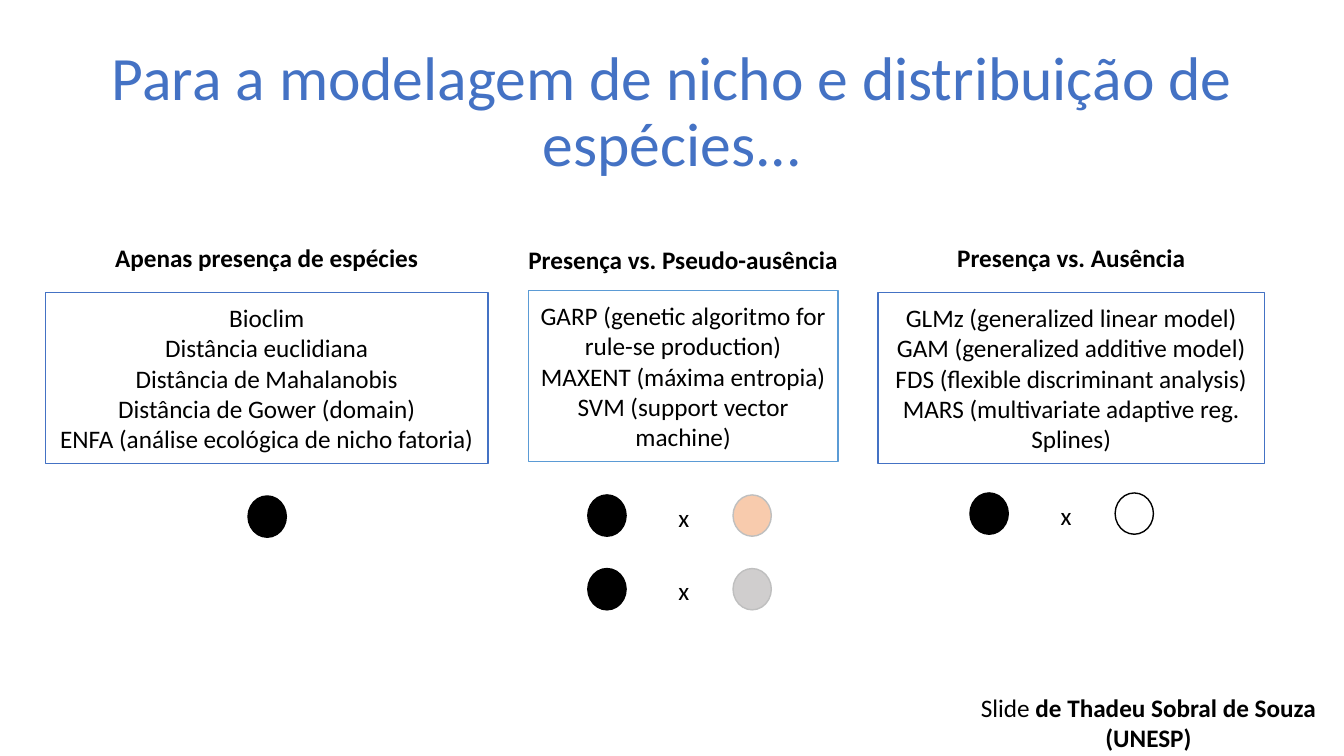
from pptx import Presentation
from pptx.dml.color import RGBColor
from pptx.enum import shapes as es, text as et
from pptx.util import Inches, Pt

MID = et.PP_ALIGN.CENTER
LEFT = et.PP_ALIGN.LEFT
BLACK, WHITE, BLUE = "000000", "FFFFFF", "4472C4"
SKY, PEACH, GREY, EDGE = "5B9BD5", "F8CBAD", "D0CECE", "BFBFBF"


def paint(fmt, tone):
    """Set the colour of a font, fill or line from a hex string."""
    if hasattr(fmt, "solid"):
        fmt.solid()
        fmt.fore_color.rgb = RGBColor.from_string(tone)
    else:
        fmt.color.rgb = RGBColor.from_string(tone)


def add_run(par, words, size=18, tone=BLACK, bold=False):
    run = par.add_run()
    run.text = words
    run.font.name = "Calibri"
    run.font.size = Pt(size)
    run.font.bold = bold
    paint(run.font, tone)


def fill_text(frame, lines):
    """Each line is an alignment and a list of (words, bold) runs."""
    for i, (align, runs) in enumerate(lines):
        par = frame.add_paragraph() if i else frame.paragraphs[0]
        par.alignment = align
        for words, bold in runs:
            add_run(par, words, bold=bold)


def add_label(slide, box, lines):
    label = slide.shapes.add_textbox(*map(Inches, box))
    label.text_frame.word_wrap = False
    fill_text(label.text_frame, lines)


def add_form(slide, kind, box, fill, edge):
    form = slide.shapes.add_shape(kind, *map(Inches, box))
    form.shadow.inherit = False
    paint(form.fill, fill)
    paint(form.line, edge)
    form.line.width = Pt(1)
    return form


# Title
def add_title(slide, box):
    title = slide.shapes.title
    title.left, title.top, title.width, title.height = map(Inches, box)
    frame = title.text_frame
    frame.word_wrap = True
    frame.auto_size = et.MSO_AUTO_SIZE.NONE
    frame.vertical_anchor = et.MSO_ANCHOR.MIDDLE
    par = frame.paragraphs[0]
    par.alignment = MID
    par.line_spacing = 0.9
    add_run(par, "Para a modelagem de nicho e distribuição de espécies...", 44, BLUE)


# One class of methods: heading, wider than the list below it, and framed list
def add_group(slide, box, rise, edge, head, names):
    left, top, width, height = box
    add_label(slide, (left - 0.2, top - rise, width + 0.4, 0.4),
              [(MID, [(head, True)])])
    form = add_form(slide, es.MSO_SHAPE.RECTANGLE, box, WHITE, edge)
    form.text_frame.word_wrap = True
    form.text_frame.vertical_anchor = et.MSO_ANCHOR.MIDDLE
    fill_text(form.text_frame, [(MID, [(name, False)]) for name in names])


# Data symbols: a single dot, or two dots with an x between
def add_dot(slide, left, top, fill, edge):
    add_form(slide, es.MSO_SHAPE.OVAL, (left, top, 0.38, 0.41), fill, edge)


def add_pair(slide, left, top, fill, edge):
    add_dot(slide, left, top, BLACK, BLACK)
    add_label(slide, (left + 0.8, top + 0.02, 0.31, 0.4), [(LEFT, [("x", False)])])
    add_dot(slide, left + 1.44, top, fill, edge)


# Credit of the author
def add_credit(slide, box):
    add_label(slide, box, [
        (LEFT, [("Slide ", False), ("de Thadeu Sobral de Souza", True)]),
        (MID, [("(UNESP)", True)]),
    ])


GROUPS = [
    ((0.45, 2.9, 4.39, 1.7), 0.55, BLUE, "Apenas presença de espécies", [
        "Bioclim",
        "Distância euclidiana",
        "Distância de Mahalanobis",
        "Distância de Gower (domain)",
        "ENFA (análise ecológica de nicho fatoria)"]),
    ((5.24, 2.88, 3.07, 1.7), 0.51, SKY, "Presença vs. Pseudo-ausência", [
        "GARP (genetic algoritmo for rule-se production)",
        "MAXENT (máxima entropia)",
        "SVM (support vector machine)"]),
    ((8.71, 2.9, 3.83, 1.7), 0.55, BLUE, "Presença vs. Ausência", [
        "GLMz (generalized linear model)",
        "GAM (generalized additive model)",
        "FDS (flexible discriminant analysis)",
        "MARS (multivariate adaptive reg. Splines)"]),
]
PAIRS = [
    (5.83, 4.91, PEACH, EDGE),
    (5.83, 5.64, GREY, EDGE),
    (9.62, 4.89, WHITE, BLACK),
]


def main():
    deck = Presentation()
    deck.slide_width, deck.slide_height = Inches(13.33), Inches(7.5)
    slide = deck.slides.add_slide(deck.slide_layouts[5])
    add_title(slide, (0.92, 0.4, 11.5, 1.45))
    for group in GROUPS:
        add_group(slide, *group)
    add_dot(slide, 2.46, 4.92, BLACK, BLACK)
    for pair in PAIRS:
        add_pair(slide, *pair)
    add_credit(slide, (9.63, 6.82, 3.55, 0.71))
    deck.save("out.pptx")


if __name__ == "__main__":
    main()
